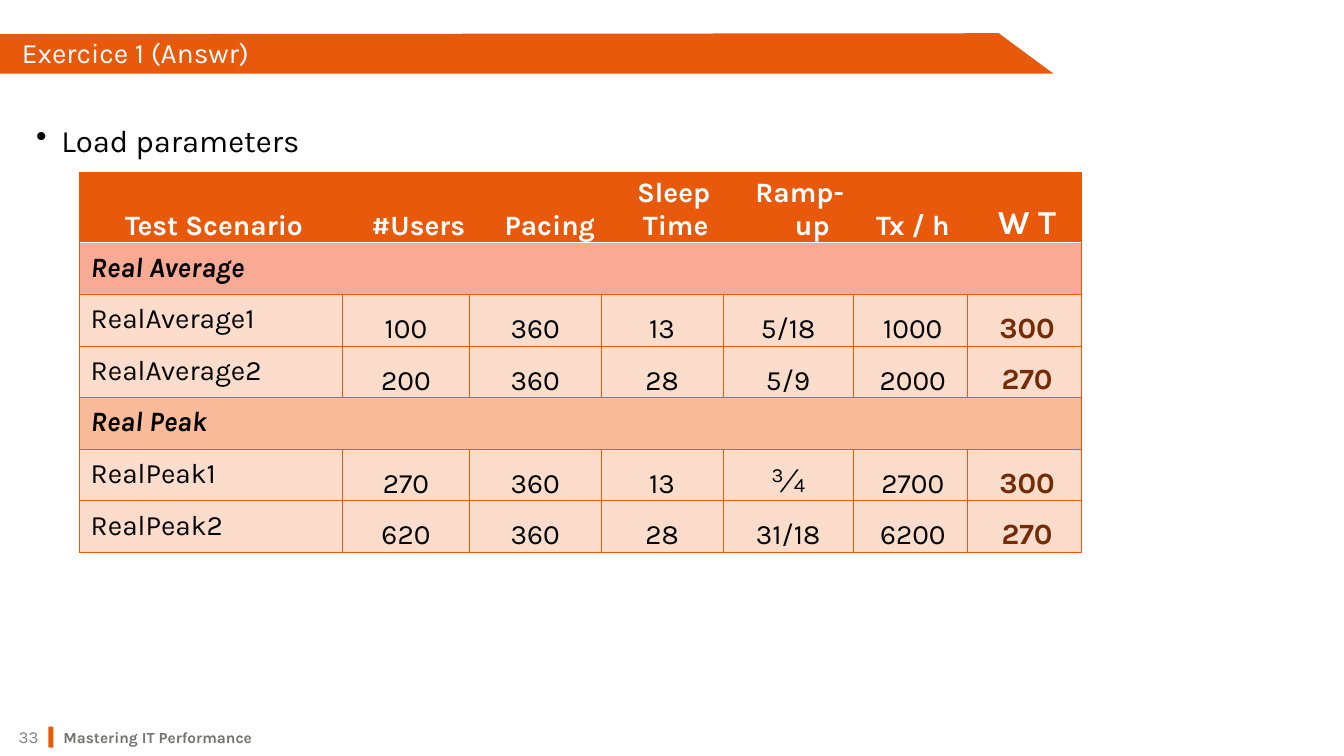
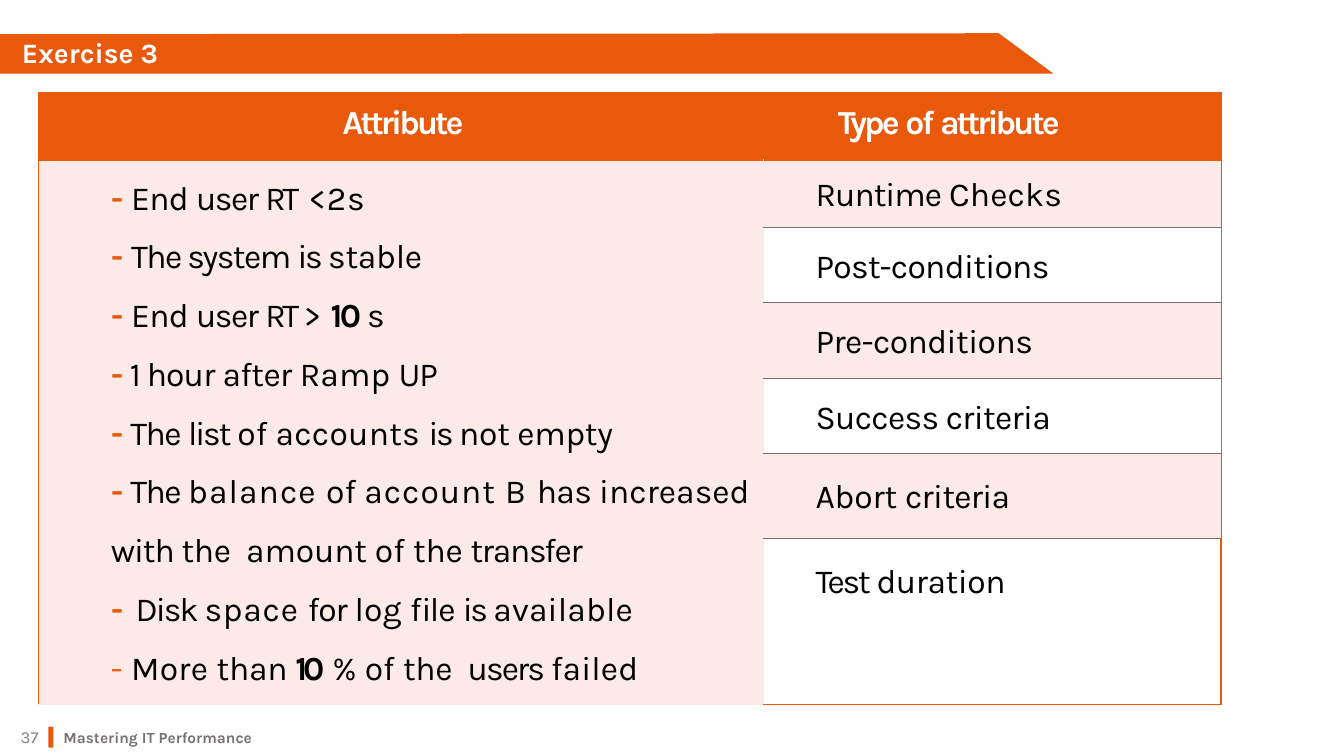
from lxml.etree import SubElement
from pptx import Presentation
from pptx.dml.color import RGBColor
from pptx.enum.shapes import MSO_SHAPE as Shape
from pptx.enum.text import MSO_ANCHOR as Anchor, PP_ALIGN as Align
from pptx.oxml import parse_xml
from pptx.oxml.ns import nsdecls, qn
from pptx.util import Inches, Pt

FONT = "Karla"
ORANGE = RGBColor(0xE8, 0x59, 0x0C)
SALMON = RGBColor(0xF9, 0xAA, 0x95)
APRICOT = RGBColor(0xFA, 0xBB, 0x9A)
PEACH = RGBColor(0xFC, 0xDD, 0xCC)
PINK = RGBColor(0xFB, 0xEA, 0xE7)
BROWN = RGBColor(0x74, 0x2C, 0x06)
WHITE = RGBColor(0xFF, 0xFF, 0xFF)
BLACK = RGBColor(0, 0, 0)
GREY = RGBColor(0x80, 0x80, 0x80)
DARK_GREY = RGBColor(0x76, 0x71, 0x71)

SLIDE_WIDTH, SLIDE_HEIGHT = Inches(13.33), Inches(7.5)
GRID_COLUMNS, GRID_ROWS = 160, 90

BANNER = [(0, 4.08), (118.9, 3.96), (125.4, 8.76), (0, 8.76)]

LOAD_COLUMNS = [31.3, 15.1, 1.3, 14.4, 14.5, 15.5, 13.6, 13.6]
LOAD_ROWS = [8.4] + [6.14] * 6
LOAD_HEADERS = [
    (0, "Test Scenario", dict(align=Align.LEFT, left=32.4)),
    (1, "#Users", dict(left=10)),
    (3, "Pacing", dict(left=13)),
    (4, "Sleep Time", dict(left=19.4, hanging=-2.9)),
    (5, "Ramp- up", dict(left=34.6, hanging=-18)),
    (6, "Tx / h", dict(left=3.6)),
    (7, "W T", dict(left=3.6, size=24)),
]
LOAD_GROUPS = [
    ("Real Average", SALMON, [
        ("RealAverage1", "100", "360", "13", "5/18", "1000", "300"),
        ("RealAverage2", "200", "360", "28", "5/9", "2000", "270")]),
    ("Real Peak", APRICOT, [
        ("RealPeak1", "270", "360", "13", "¾", "2700", "300"),
        ("RealPeak2", "620", "360", "28", "31/18", "6200", "270")]),
]
LOAD_PLACES = [0, 1, 2, 4, 5, 6, 7]

ATTRIBUTE_COLUMNS = [86.3, 54.5]
ATTRIBUTE_ROWS = [8, 8, 9, 9, 9, 10.1, 17.8]
ATTRIBUTES = [
    [("- ", -0.5), ("End ", -0.5), ("user ", -1.1), ("RT", -2.5), (" ", 1), ("< 2 s", -2.6)],
    [("- ", -0.5), ("The system ", -1.1), ("is ", -1.8), ("stable", -0.2)],
    [("- ", -0.5), ("End ", -0.5), ("user ", -1.1), ("RT ", -2.5), (">", -3.9), (" ", 1),
     ("10 ", -1.9), ("s", -1.9)],
    [("- ", -1.5), ("1 ", -1.5), ("hour ", -0.6), ("after ", -0.4), ("Ramp ", 0.1), ("UP", -0.9)],
    [("- ", -1.1), ("The ", -1.1), ("list ", -1.5), ("of ", 0.1), ("accounts ", 0.2),
     ("is ", -1.8), ("not empty", -0.2)],
    [("- ", -1.1), ("The ", -1.1), ("balance ", 0.8), ("of ", 0.1), ("account ", 0.7),
     ("B", -2), (" ", 2), ("has ", -0.5), ("increased ", 0), ("with ", -0.8), ("the", -0.2),
     (" ", 5), ("amount ", -0.1), ("of ", 0.1), ("the ", -0.2), ("transfer", -0.9)],
    [("-", -1.4), (" ", 3), ("Disk ", -1.4), ("space ", 0.6), ("for ", -0.8), ("log ", 0.1),
     ("file ", -0.6), ("is ", -1.8), ("available", 0.1)],
    [("- ", 0.2), ("More ", 0.2), ("than ", -0.2), ("10", -2.9), (" ", 0), ("%", -2.9),
     (" ", 0), ("of ", 0.1), ("the", -0.2), (" ", 5), ("users ", -1.4), ("failed", 0.1)],
]
ATTRIBUTE_TYPES = [
    ([("Runtime ", -0.7), ("Checks", 0.1)], 11.5),
    ([("Post-conditions", -0.5)], 14.4),
    ([("Pre-conditions", -0.4)], 14.4),
    ([("Success criteria", -0.5)], 14.4),
    ([("Abort ", -0.1), ("criteria", -0.5)], 17.2),
    ([("Test ", -1.6), ("duration", -0.3)], 17.2),
]


def across(columns):
    """Return the width of a number of grid columns."""
    return round(SLIDE_WIDTH * columns / GRID_COLUMNS)


def down(rows):
    """Return the height of a number of grid rows."""
    return round(SLIDE_HEIGHT * rows / GRID_ROWS)


def place(left, top, width, height):
    """Turn a grid box into slide lengths."""
    return across(left), down(top), across(width), down(height)


def add_run(paragraph, text, size=20, color=BLACK, bold=False, italic=False, spacing=0):
    """Add one run of formatted text to a paragraph."""
    run = paragraph.add_run()
    run.text = text
    font = run.font
    font.name, font.size, font.bold, font.italic = FONT, Pt(size), bold, italic
    font.color.rgb = color
    if spacing:
        run._r.get_or_add_rPr().set("spc", str(round(spacing * 100)))


def format_paragraph(paragraph, align=Align.LEFT, left=0, hanging=0, line=None, bullet=None):
    """Set alignment, indents in points, line spacing and bullet."""
    paragraph.alignment = align
    if line:
        paragraph.line_spacing = line
    properties = paragraph._p.get_or_add_pPr()
    properties.set("marL", str(Pt(left)))
    properties.set("indent", str(Pt(hanging)))
    if bullet:
        SubElement(properties, qn("a:buChar")).set("char", bullet)


def add_text(slide, text, box, anchor=Anchor.MIDDLE, align=Align.LEFT, left=0, hanging=0,
             line=None, bullet=None, **font):
    """Add a text box with one paragraph."""
    frame = slide.shapes.add_textbox(*place(*box)).text_frame
    frame.word_wrap = True
    frame.vertical_anchor = anchor
    paragraph = frame.paragraphs[0]
    format_paragraph(paragraph, align, left, hanging, line, bullet)
    add_run(paragraph, text, **font)


def paint(shape):
    """Give a shape a plain orange fill."""
    shape.fill.solid()
    shape.fill.fore_color.rgb = ORANGE
    shape.line.fill.background()
    shape.shadow.inherit = False


def add_frame(presentation, title, number, bold=False):
    """Add a slide with the banner, title and footer."""
    slide = presentation.slides.add_slide(presentation.slide_layouts[6])
    points = [(across(x), down(y)) for x, y in BANNER]
    outline = slide.shapes.build_freeform(*points[0], scale=1.0)
    outline.add_line_segments(points[1:], close=True)
    paint(outline.convert_to_shape())
    add_text(slide, number, (0, 86.5, 5.76, 2.5), align=Align.RIGHT, size=12, color=GREY)
    paint(slide.shapes.add_shape(Shape.ROUNDED_RECTANGLE, *place(5.76, 86.5, 0.6, 2.5)))
    add_text(slide, title, (1.44, 4.56, 119.5, 3.72), line=0.9, color=WHITE, bold=bold)
    add_text(slide, "Mastering IT Performance", (6.36, 85.9, 70.8, 3.6), Anchor.BOTTOM,
             line=1.5, size=11, color=DARK_GREY, bold=True)
    return slide


def add_grid(slide, left, top, columns, rows):
    """Add a plain table with the given column and row sizes."""
    box = place(left, top, sum(columns), sum(rows))
    table = slide.shapes.add_table(len(rows), len(columns), *box).table
    table.first_row = table.horz_banding = False
    for column, width in zip(table.columns, columns):
        column.width = across(width)
    for row, height in zip(table.rows, rows):
        row.height = down(height)
    return table


def style_cell(cell, fill, width, left, right, top, bottom):
    """Fill a cell and colour its four edges."""
    cell.fill.solid()
    cell.fill.fore_color.rgb = fill
    properties = cell._tc.get_or_add_tcPr()
    for index, (edge, color) in enumerate(zip("LRTB", (left, right, top, bottom))):
        properties.insert(index, parse_xml(
            f'<a:ln{edge} {nsdecls("a")} w="{Pt(width)}"><a:solidFill>'
            f'<a:srgbClr val="{color}"/></a:solidFill></a:ln{edge}>'))


def write_cell(cell, text, anchor=Anchor.TOP, top=0, align=Align.LEFT, left=0, hanging=0,
               line=None, **font):
    """Write a string or a list of spaced pieces into a cell."""
    cell.margin_left = cell.margin_right = cell.margin_bottom = 0
    cell.margin_top = Pt(top)
    cell.vertical_anchor = anchor
    paragraph = cell.text_frame.paragraphs[0]
    format_paragraph(paragraph, align, left, hanging, line)
    for piece, spacing in [(text, 0)] if isinstance(text, str) else text:
        add_run(paragraph, piece, spacing=spacing, **font)


def write_load_row(table, row, values):
    """Write one scenario with its load values."""
    table.cell(row, 2).merge(table.cell(row, 3))
    for column, value in zip(LOAD_PLACES, values):
        cell = table.cell(row, column)
        if column == 0:
            write_cell(cell, value, top=6.3, left=7.9)
        elif column == 7:
            write_cell(cell, value, Anchor.BOTTOM, align=Align.CENTER, left=3.6,
                       size=21, color=BROWN, bold=True)
        else:
            write_cell(cell, value, Anchor.BOTTOM, align=Align.CENTER,
                       left=3.6 if column == 6 else 0, size=24 if value == "¾" else 20)


def add_load_table(slide):
    """Add the table of load parameters, grouped by scenario."""
    table = add_grid(slide, 9.48, 20.5, LOAD_COLUMNS, LOAD_ROWS)
    last = len(LOAD_COLUMNS) - 1
    fills = [ORANGE]
    for _, color, scenarios in LOAD_GROUPS:
        fills += [color] + [PEACH] * len(scenarios)
    for row, fill in enumerate(fills):
        for column in range(last + 1):
            style_cell(table.cell(row, column), fill, 1 if row == 0 else 0.5, ORANGE, ORANGE,
                       WHITE if row == 1 else ORANGE, WHITE if row == 0 else ORANGE)
    table.cell(0, 1).merge(table.cell(0, 2))
    for column, text, options in LOAD_HEADERS:
        write_cell(table.cell(0, column), text, Anchor.BOTTOM,
                   **{"align": Align.CENTER, "color": WHITE, "bold": True, **options})
    row = 1
    for name, _, scenarios in LOAD_GROUPS:
        table.cell(row, 0).merge(table.cell(row, last))
        write_cell(table.cell(row, 0), name, top=6.3, left=7.9, bold=True, italic=True)
        for offset, values in enumerate(scenarios, 1):
            write_load_row(table, row + offset, values)
        row += len(scenarios) + 1


def write_attributes(cell):
    """Write the dashed list of attributes into a cell."""
    cell.margin_left = cell.margin_right = cell.margin_top = cell.margin_bottom = 0
    frame = cell.text_frame
    for index, pieces in enumerate(ATTRIBUTES):
        paragraph = frame.paragraphs[0] if index == 0 else frame.add_paragraph()
        format_paragraph(paragraph, left=51.8, line=1.5)
        for order, (text, spacing) in enumerate(pieces):
            dash = order == 0
            bold = text.strip() == "10" or (dash and index < len(ATTRIBUTES) - 1)
            add_run(paragraph, text, 24, ORANGE if dash else BLACK, bold, spacing=spacing)


def add_attribute_table(slide):
    """Add the table of attributes and their types."""
    table = add_grid(slide, 4.56, 11.04, ATTRIBUTE_COLUMNS, ATTRIBUTE_ROWS)
    last = len(ATTRIBUTE_ROWS) - 1
    header = dict(anchor=Anchor.MIDDLE, line=Pt(23.7), size=24, color=WHITE, bold=True)
    write_cell(table.cell(0, 0), [("Attribute", -2.1)], align=Align.CENTER, left=2.9, **header)
    write_cell(table.cell(0, 1), [("Type ", -2), ("of ", -1.9), ("attribute", -2.1)],
               left=53.3, **header)
    for column in range(2):
        style_cell(table.cell(0, column), ORANGE, 1, *[ORANGE] * 4)
    for row, (pieces, top) in enumerate(ATTRIBUTE_TYPES, 1):
        fill = PINK if row % 2 else WHITE
        style_cell(table.cell(row, 0), PINK, 1, ORANGE, PINK,
                   ORANGE if row == 1 else PINK, ORANGE if row == last else PINK)
        style_cell(table.cell(row, 1), fill, 1 if row == last else 0.75, PINK, ORANGE,
                   ORANGE if row == 1 else DARK_GREY, ORANGE if row == last else DARK_GREY)
        write_cell(table.cell(row, 1), pieces, top=top, left=37.4, size=24)
    table.cell(1, 0).merge(table.cell(last, 0))
    write_attributes(table.cell(1, 0))


def main():
    """Build and save the presentation."""
    presentation = Presentation()
    presentation.slide_width, presentation.slide_height = SLIDE_WIDTH, SLIDE_HEIGHT
    answer = add_frame(presentation, "Exercice 1 (Answr)", "33")
    add_text(answer, "Load parameters", (3.12, 11.64, 96.4, 7.2), Anchor.TOP, left=18,
             hanging=-18, line=1.5, bullet="•", size=22.2)
    add_load_table(answer)
    add_attribute_table(add_frame(presentation, "Exercise 3", "37", bold=True))
    presentation.save("out.pptx")


if __name__ == "__main__":
    main()
